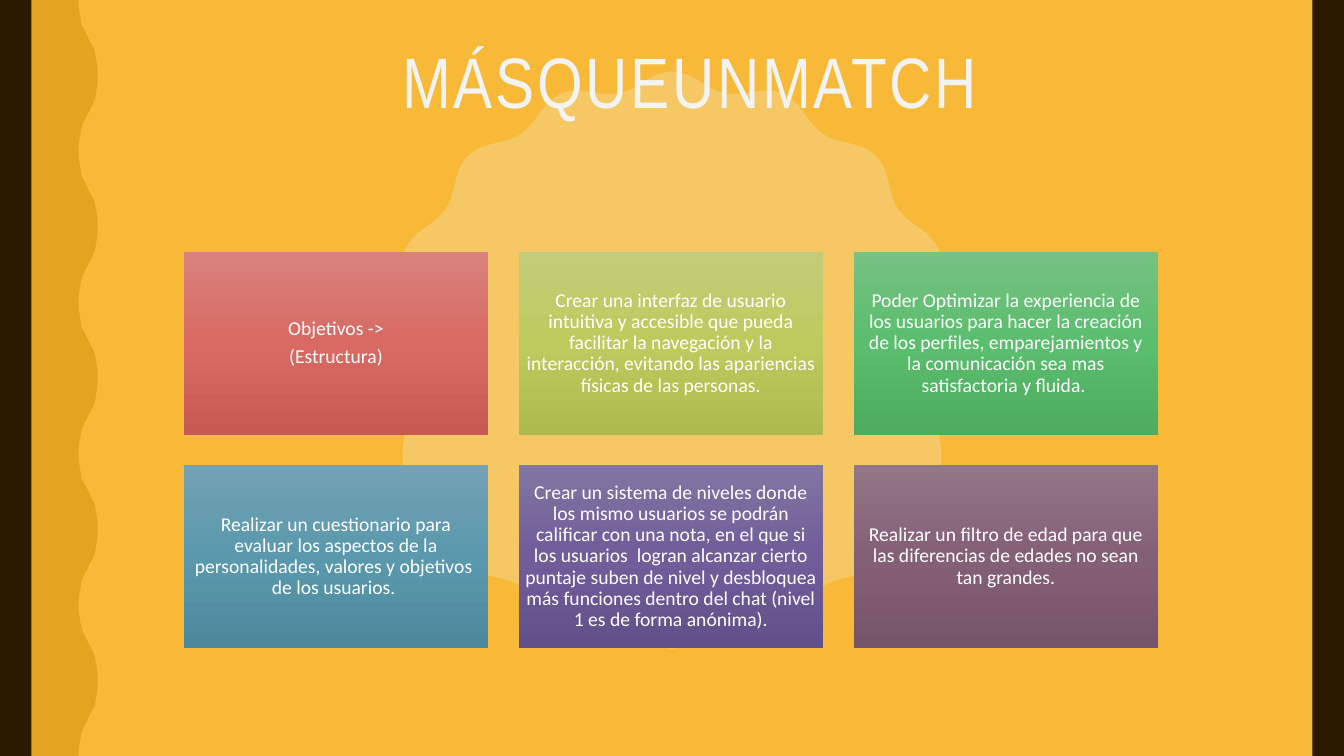
from copy import deepcopy
from math import cos, pi, sin

from lxml import etree
from pptx import Presentation
from pptx import util as u
from pptx.dml.color import RGBColor
from pptx.enum import shapes, text
from pptx.oxml import ns

PX = 9525
WIDTH, HEIGHT = 1280, 720

PAPER = RGBColor(0xF3, 0xF3, 0xF2)
AMBER = RGBColor(0xF8, 0xB3, 0x23)
BROWN = RGBColor(0x2A, 0x1A, 0x00)
WHITE = RGBColor(0xFF, 0xFF, 0xFF)
RED = [RGBColor(0xD9, 0x82, 0x7D), RGBColor(0xD8, 0x6A, 0x63), RGBColor(0xC6, 0x59, 0x52)]
LIME = [RGBColor(0xC2, 0xCD, 0x79), RGBColor(0xBD, 0xCB, 0x5E), RGBColor(0xAC, 0xBA, 0x4E)]
GREEN = [RGBColor(0x76, 0xC1, 0x83), RGBColor(0x5B, 0xBD, 0x6E), RGBColor(0x4D, 0xAC, 0x5F)]
BLUE = [RGBColor(0x74, 0xA2, 0xB3), RGBColor(0x5A, 0x98, 0xAD), RGBColor(0x4D, 0x89, 0x9D)]
VIOLET = [RGBColor(0x82, 0x75, 0xA2), RGBColor(0x70, 0x5D, 0x99), RGBColor(0x62, 0x50, 0x8A)]
PLUM = [RGBColor(0x91, 0x77, 0x87), RGBColor(0x84, 0x60, 0x76), RGBColor(0x76, 0x54, 0x6A)]

CARDS = [
    (RED, ["Objetivos ->", "(Estructura)"]),
    (LIME, ["Crear una interfaz de usuario intuitiva y accesible que pueda facilitar la "
            "navegación y la interacción, evitando las apariencias físicas de las personas."]),
    (GREEN, ["Poder Optimizar la experiencia de los usuarios para hacer la creación de los "
             "perfiles, emparejamientos y la comunicación sea mas satisfactoria y fluida. "]),
    (BLUE, ["Realizar un cuestionario para evaluar los aspectos de la personalidades, "
            "valores y objetivos  de los usuarios. "]),
    (VIOLET, ["Crear un sistema de niveles donde los mismo usuarios se podrán calificar con "
              "una nota, en el que si los usuarios  logran alcanzar cierto puntaje suben de "
              "nivel y desbloquea más funciones dentro del chat (nivel 1 es de forma anónima)."]),
    (PLUM, ["Realizar un filtro de edad para que las diferencias de edades no sean tan grandes."]),
]

HALF_WAVE = [(0, 0), (0, 7), (1, 13), (2, 19), (3, 24), (5, 28), (7, 32), (9, 36),
             (11, 40), (13, 44), (15, 48), (16, 53), (17, 59), (18, 65), (18, 72)]


def paint(shape, color, opacity=100):
    shape.shadow.inherit = False
    shape.line.fill.background()
    shape.fill.solid()
    shape.fill.fore_color.rgb = color
    if opacity < 100:
        tint = shape._element.spPr.find(".//" + ns.qn("a:srgbClr"))
        etree.SubElement(tint, ns.qn("a:alpha")).set("val", str(opacity * 1000))


def paint_gradient(shape, colors):
    shape.shadow.inherit = False
    shape.line.fill.background()
    shape.fill.gradient()
    shape.fill.gradient_angle = 270
    stops = shape._element.spPr.find(".//" + ns.qn("a:gsLst"))
    stops.append(deepcopy(stops[0]))
    for index, (stop, color) in enumerate(zip(shape.fill.gradient_stops, colors)):
        stop.color.rgb = color
        stop.position = index / 2


def add_rect(page, left, top, width, height):
    return page.shapes.add_shape(shapes.MSO_SHAPE.RECTANGLE,
                                 left * PX, top * PX, width * PX, height * PX)


def add_outline(page, points):
    scaled = [(x * PX, y * PX) for x, y in points]
    builder = page.shapes.build_freeform(*scaled[0])
    builder.add_line_segments(scaled[1:], close=True)
    return builder.convert_to_shape()


def write(frame, words, size, font, color, spacing=0, align=None, after=0, first=False):
    para = frame.paragraphs[0] if first else frame.add_paragraph()
    para.alignment = align
    para.line_spacing = 0.9
    para.space_after = u.Pt(after)
    span = para.add_run()
    span.text = words
    span.font.size = u.Pt(size)
    span.font.name = font
    span.font.color.rgb = color
    if spacing:
        span.font._element.set("spc", str(spacing * 100))


def add_wave(page, left, top, height):
    half = HALF_WAVE[-1][1]
    crest = HALF_WAVE[-1][0]
    edge = []
    for step in range(height // half):
        for x, y in HALF_WAVE:
            edge.append((left + (crest - x if step % 2 else x), top + step * half + y))
    paint(add_outline(page, [(0, top)] + edge + [(0, top + height)]), BROWN)


def add_seal(page, center_x, center_y, radius, swell, bumps):
    count = bumps * 16
    points = []
    for index in range(count):
        angle = 2 * pi * index / count
        reach = radius + swell * cos(bumps * angle)
        points.append((center_x + reach * sin(angle), center_y - reach * cos(angle)))
    paint(add_outline(page, points), PAPER, opacity=25)


def add_backdrop(page):
    page.background.fill.solid()
    page.background.fill.fore_color.rgb = PAPER
    add_wave(page, 75, 0, HEIGHT)
    paint(add_rect(page, 0, 0, WIDTH, HEIGHT), AMBER, opacity=90)
    add_seal(page, 640, 343, 267, 8, 16)
    for left in (0, WIDTH - 30):
        paint(add_rect(page, left, 0, 30, HEIGHT), BROWN)


def add_title(page, left, top, width, height):
    box = page.shapes.add_textbox(left * PX, top * PX, width * PX, height * PX)
    frame = box.text_frame
    frame.word_wrap = True
    frame.margin_left = 277 * PX
    write(frame, "MÁSQUEUNMATCH", 51, "Arial Narrow", PAPER, spacing=2, first=True)


def add_card(page, left, top, width, height, colors, lines):
    card = add_rect(page, left, top, width, height)
    paint_gradient(card, colors)
    frame = card.text_frame
    frame.word_wrap = True
    frame.vertical_anchor = text.MSO_ANCHOR.MIDDLE
    frame.margin_left = frame.margin_right = frame.margin_top = frame.margin_bottom = 6 * PX
    for index, words in enumerate(lines):
        write(frame, words, 14, "Calibri", WHITE, align=text.PP_ALIGN.CENTER,
              after=5, first=index == 0)


def add_cards(page, left, top, width, height, columns=3, gap=29):
    rows = len(CARDS) // columns
    card_width = (width - gap * (columns - 1)) // columns
    card_height = (height - gap * (rows - 1)) // rows
    for index, (colors, lines) in enumerate(CARDS):
        row, column = divmod(index, columns)
        add_card(page, left + column * (card_width + gap), top + row * (card_height + gap),
                 card_width, card_height, colors, lines)


def main():
    deck = Presentation()
    deck.slide_width = WIDTH * PX
    deck.slide_height = HEIGHT * PX
    page = deck.slides.add_slide(deck.slide_layouts[6])
    add_backdrop(page)
    add_title(page, 106, 40, 1068, 156)
    add_cards(page, 175, 240, 929, 377)
    deck.save("out.pptx")


if __name__ == "__main__":
    main()
